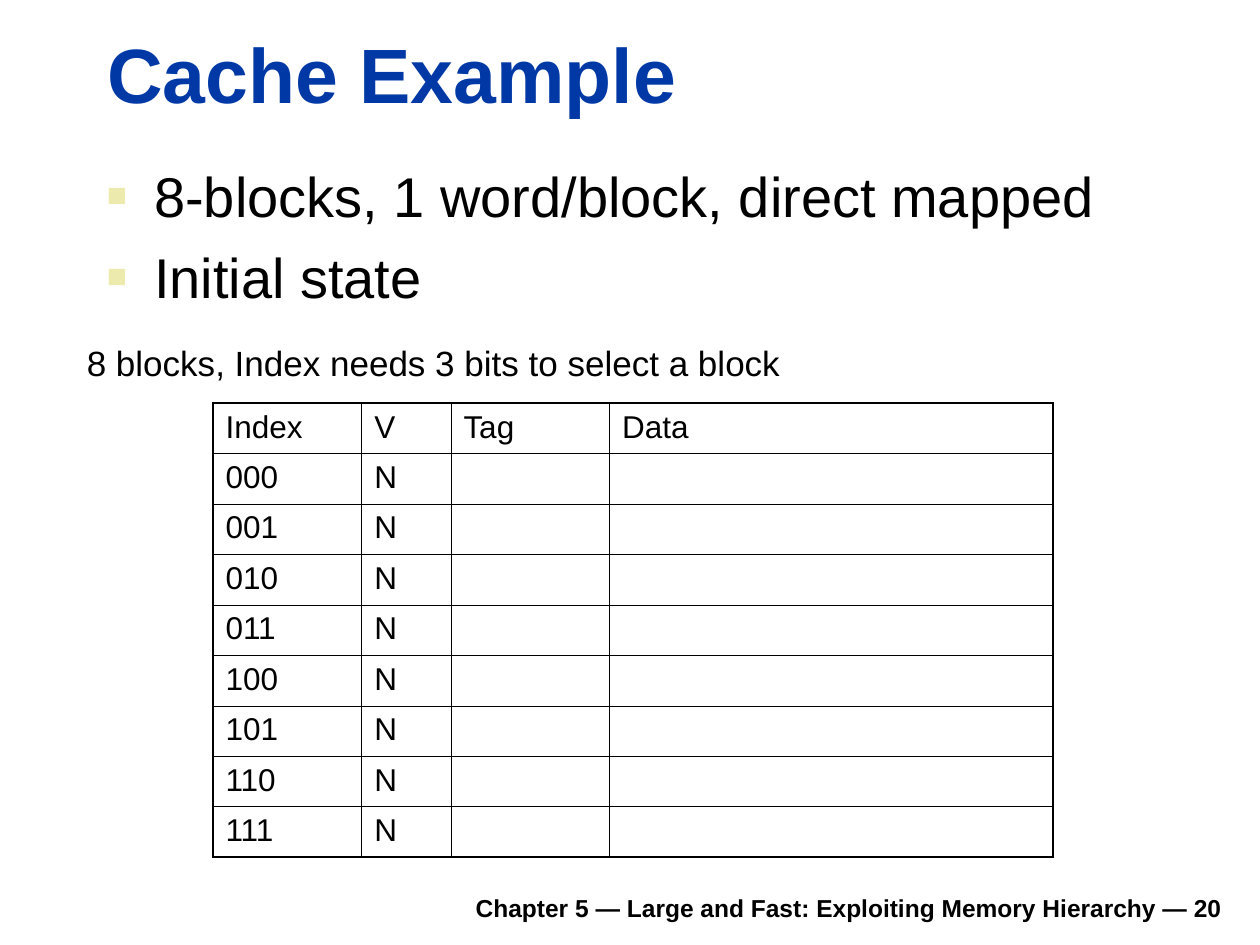
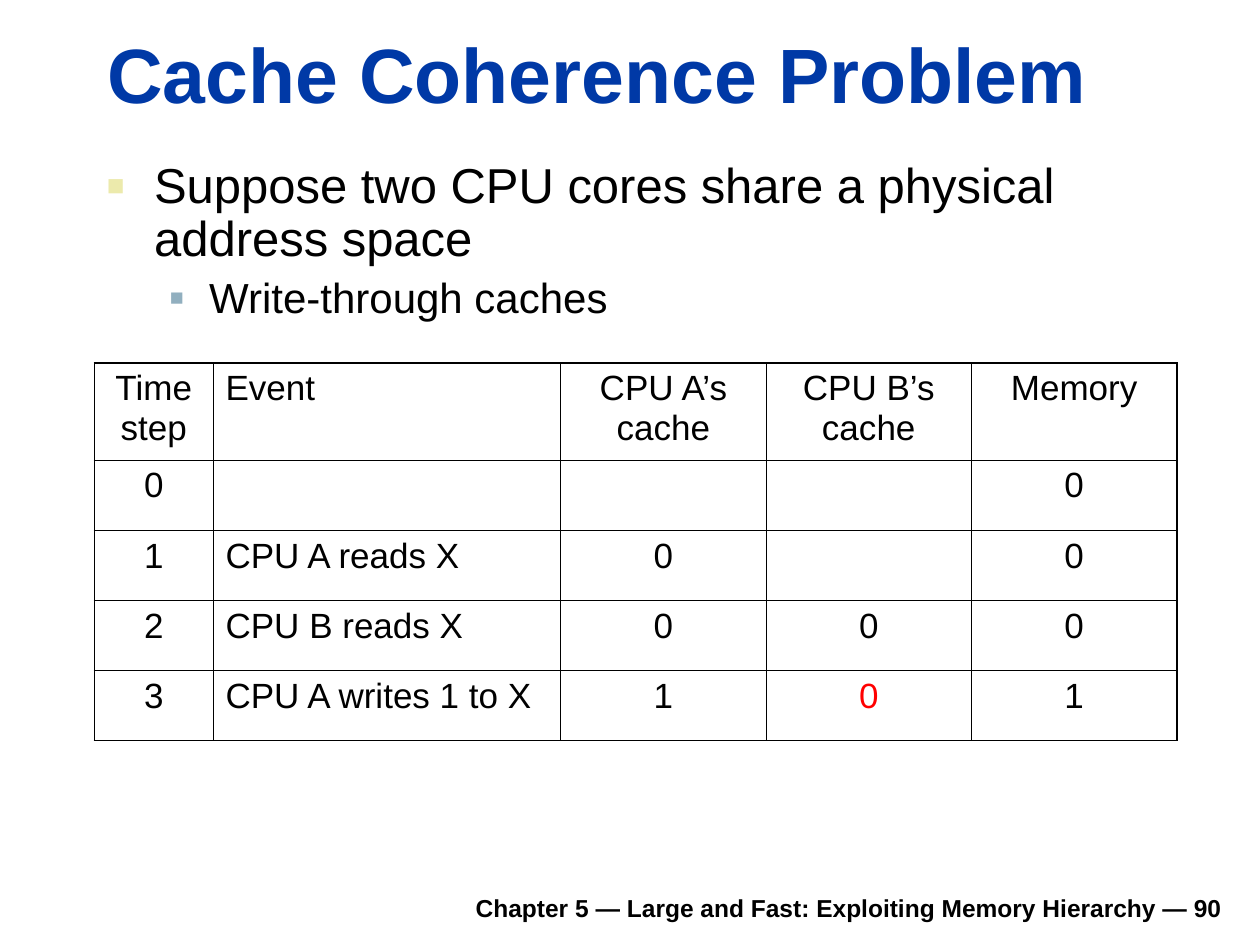
from dataclasses import dataclass

from lxml import etree
from pptx import Presentation
from pptx.dml.color import RGBColor
from pptx.enum.text import MSO_ANCHOR, MSO_AUTO_SIZE, PP_ALIGN
from pptx.oxml.ns import qn
from pptx.util import Pt

LEFT, CENTER, RIGHT = PP_ALIGN.LEFT, PP_ALIGN.CENTER, PP_ALIGN.RIGHT
BOTTOM = MSO_ANCHOR.BOTTOM
NO_AUTOFIT = MSO_AUTO_SIZE.NONE


@dataclass(frozen=True)
class Theme:
    font: str = "Arial"
    title_color: str = "0039A6"
    text_color: str = "000000"
    alert_color: str = "FF0000"
    paper_color: str = "FFFFFF"
    bullet_colors: tuple = ("ECEAAC", "91AFBF")
    bullet_percents: tuple = (60, 55)
    bullet_margins: tuple = (27, 58.5)
    bullet_hangs: tuple = (27, 22.5)
    title_size: float = 44
    footer_size: float = 14
    note_size: float = 20
    outer_line: float = 1.08
    inner_line: float = 0.45


THEME = Theme()
FOOTER = "Chapter 5 — Large and Fast: Exploiting Memory Hierarchy — "


def style_paragraph(paragraph, size, color=THEME.text_color, bold=False, align=LEFT):
    paragraph.alignment = align
    font = paragraph.font
    font.name, font.size, font.bold = THEME.font, Pt(size), bold
    font.color.rgb = RGBColor.from_string(color)


def add_text_box(page, left, top, width, height):
    frame = page.shapes.add_textbox(Pt(left), Pt(top), Pt(width), Pt(height)).text_frame
    frame.word_wrap = True
    return frame


pages = [
    {
        "title": "Cache Example",
        "number": 20,
        # Bullets: text, level, size, space before
        "bullets": [
            ("8-blocks, 1 word/block, direct mapped", 0, 32, 0),
            ("Initial state", 0, 32, 8),
        ],
        "line_spacing": 1.0,
        "note": "8 blocks, Index needs 3 bits to select a block",
        "table_place": (121.7, 230.4),
        "columns": [85, 51, 90.7, 253.4],
        "rows": [28.8] * 9,
        "aligns": [LEFT] * 4,
        "cell_size": 18,
        "header_line": 0.75,
        "cells": [["Index", "V", "Tag", "Data"]]
        + [[f"{index:03b}", "N", "", ""] for index in range(8)],
        "alert_cell": None,
    },
    {
        "title": "Cache Coherence Problem",
        "number": 90,
        "bullets": [
            ("Suppose two CPU cores share a physical address space", 0, 28, 0),
            ("Write-through caches", 1, 24, 6),
        ],
        "line_spacing": 0.9,
        "note": None,
        "table_place": (54, 207.4),
        "columns": [67.7, 198.7, 117.4, 117.4, 117.4],
        "rows": [55.4] + [40.1] * 4,
        "aligns": [CENTER, LEFT, CENTER, CENTER, CENTER],
        "cell_size": 20,
        "header_line": THEME.inner_line,
        "cells": [
            ["Time step", "Event", "CPU A’s cache", "CPU B’s cache", "Memory"],
            ["0", "", "", "", "0"],
            ["1", "CPU A reads X", "0", "", "0"],
            ["2", "CPU B reads X", "0", "0", "0"],
            ["3", "CPU A writes 1 to X", "1", "0", "1"],
        ],
        "alert_cell": (4, 3),
    },
]

deck = Presentation()
deck.slide_width, deck.slide_height = Pt(720), Pt(540)
title_only = deck.slide_layouts[5]

for content in pages:
    page = deck.slides.add_slide(title_only)

    # Footer
    frame = add_text_box(page, 133.2, 502.6, 572.4, 28)
    frame.vertical_anchor = BOTTOM
    frame.text = f"{FOOTER}{content['number']}"
    style_paragraph(frame.paragraphs[0], THEME.footer_size, bold=True, align=RIGHT)

    # Title
    title = page.shapes.title
    title.left, title.top, title.width, title.height = Pt(54), Pt(11.5), Pt(650), Pt(59.8)
    frame = title.text_frame
    frame.text = content["title"]
    frame.vertical_anchor = BOTTOM
    frame.auto_size = NO_AUTOFIT
    style_paragraph(frame.paragraphs[0], THEME.title_size, THEME.title_color, bold=True)

    # Bullets
    frame = add_text_box(page, 54, 88.6, 651, 106)
    for number, (text, level, size, space_before) in enumerate(content["bullets"]):
        paragraph = frame.add_paragraph() if number else frame.paragraphs[0]
        paragraph.text = text
        paragraph.level = level
        paragraph.line_spacing = content["line_spacing"]
        paragraph.space_before = Pt(space_before)
        properties = paragraph._p.get_or_add_pPr()
        properties.set("marL", str(Pt(THEME.bullet_margins[level])))
        properties.set("indent", str(-Pt(THEME.bullet_hangs[level])))
        bullet_color = etree.SubElement(properties, qn("a:buClr"))
        etree.SubElement(bullet_color, qn("a:srgbClr"), val=THEME.bullet_colors[level])
        percent = THEME.bullet_percents[level] * 1000
        etree.SubElement(properties, qn("a:buSzPct"), val=str(percent))
        etree.SubElement(properties, qn("a:buFont"), typeface=THEME.font)
        etree.SubElement(properties, qn("a:buChar"), char="■")
        style_paragraph(paragraph, size)

    # Table
    cells, columns, rows = content["cells"], content["columns"], content["rows"]
    left, top = content["table_place"]
    table = page.shapes.add_table(
        len(rows), len(columns), Pt(left), Pt(top), Pt(sum(columns)), Pt(sum(rows))
    ).table
    table.first_row = table.horz_banding = False
    for column, width in zip(table.columns, columns):
        column.width = Pt(width)
    for row, height in zip(table.rows, rows):
        row.height = Pt(height)

    last_row, last_column = len(rows) - 1, len(columns) - 1
    for i, row_texts in enumerate(cells):
        for j, text in enumerate(row_texts):
            cell = table.cell(i, j)
            cell.text = text
            cell.fill.solid()
            cell.fill.fore_color.rgb = RGBColor.from_string(THEME.paper_color)
            color = THEME.alert_color if (i, j) == content["alert_cell"] else THEME.text_color
            style_paragraph(
                cell.text_frame.paragraphs[0], content["cell_size"], color,
                align=content["aligns"][j],
            )

            # Cell borders: heavy outside, thin inside, own weight under the header
            widths = {
                "a:lnL": THEME.outer_line if j == 0 else THEME.inner_line,
                "a:lnR": THEME.outer_line if j == last_column else THEME.inner_line,
                "a:lnT": THEME.outer_line if i == 0 else THEME.inner_line,
                "a:lnB": THEME.outer_line if i == last_row else THEME.inner_line,
            }
            if i < 2:
                widths["a:lnT" if i else "a:lnB"] = content["header_line"]
            cell_properties = cell._tc.get_or_add_tcPr()
            for position, (tag, width) in enumerate(widths.items()):
                line = etree.Element(qn(tag), w=str(Pt(width)))
                line_fill = etree.SubElement(line, qn("a:solidFill"))
                etree.SubElement(line_fill, qn("a:srgbClr"), val=THEME.text_color)
                cell_properties.insert(position, line)

    # Note above the table
    if content["note"]:
        frame = add_text_box(page, 42.5, 191.5, 516, 31.5)
        frame.text = content["note"]
        style_paragraph(frame.paragraphs[0], THEME.note_size)

deck.save("out.pptx")
